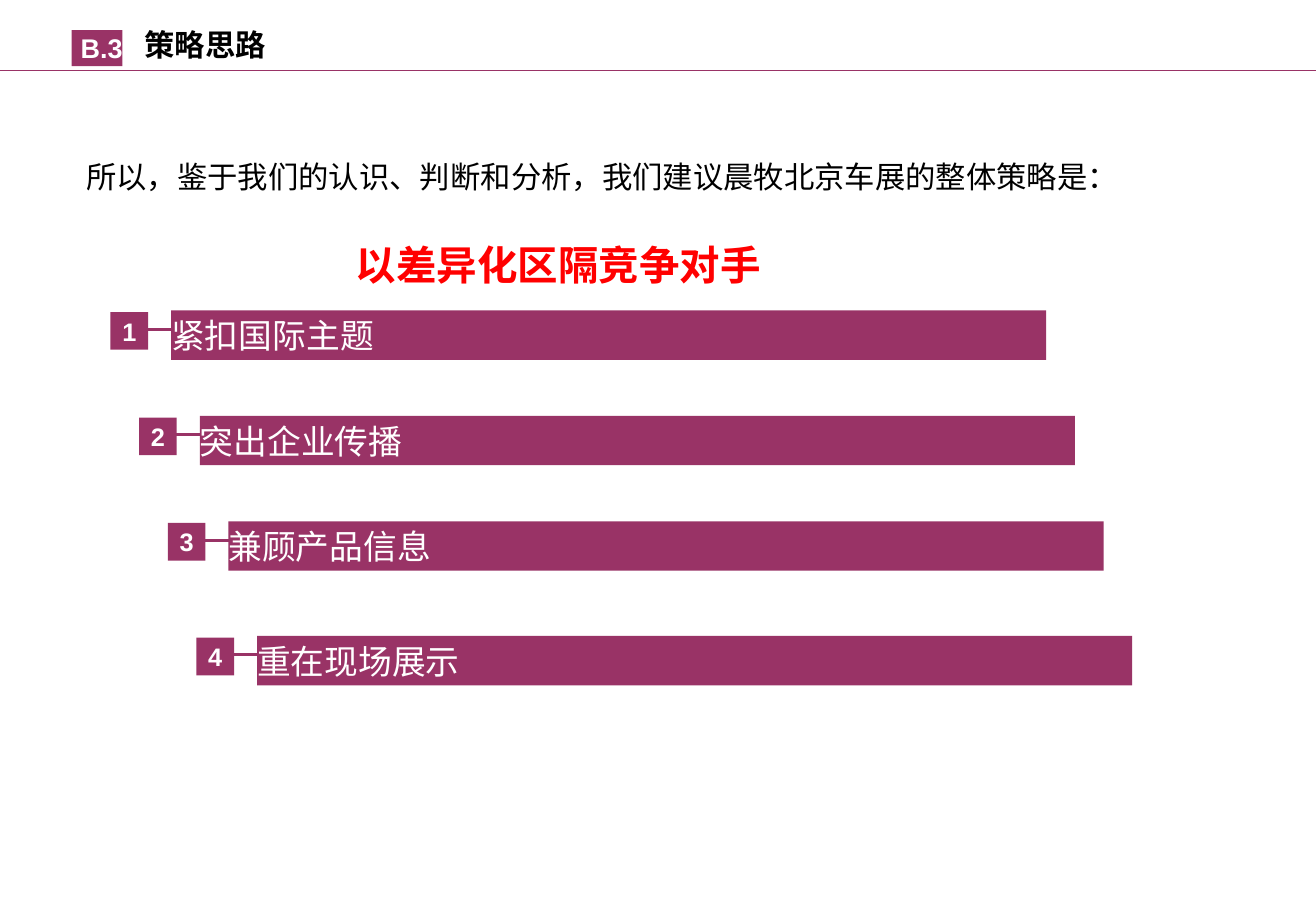
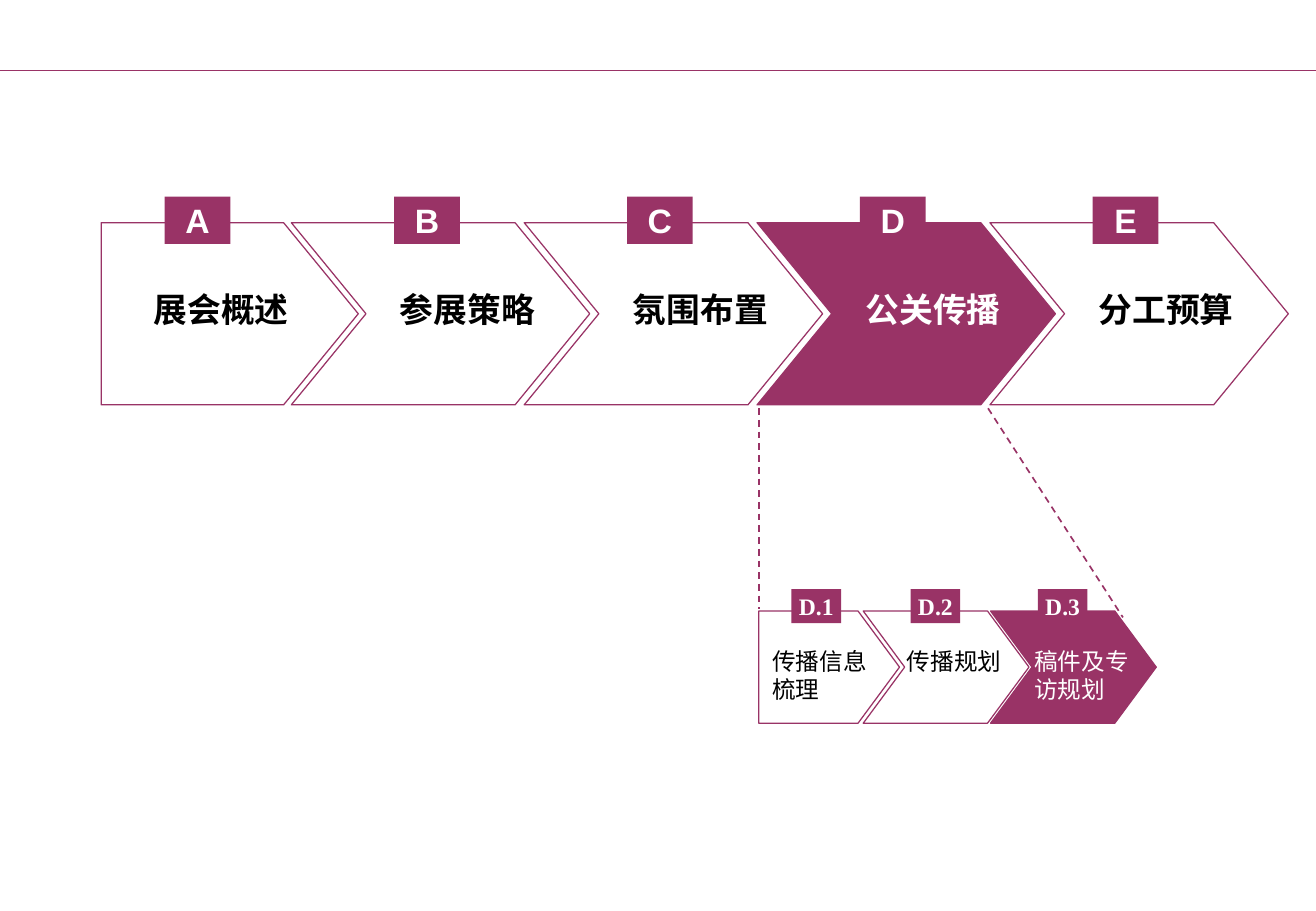
import pptx
import pptx.dml.color
import pptx.enum.dml
import pptx.enum.shapes
import pptx.enum.text
import pptx.oxml.ns
import pptx.util
from lxml import etree

Pt = pptx.util.Pt
ALIGN = pptx.enum.text.PP_ALIGN
ANCHOR = pptx.enum.text.MSO_ANCHOR
qn = pptx.oxml.ns.qn

COLORS = {"plum": "993366", "white": "FFFFFF", "black": "000000", "red": "FF0000"}
CJK = "Noto Sans CJK SC"
SERIF = "Times New Roman"
WIDTH, HEIGHT = 780.48, 540


def rgb(name):
    return pptx.dml.color.RGBColor.from_string(COLORS[name])


class Deck:
    def __init__(self):
        self.presentation = pptx.Presentation()
        self.presentation.slide_width = Pt(WIDTH)
        self.presentation.slide_height = Pt(HEIGHT)
        self.slide = None

    def start_slide(self, title=None):
        layout = self.presentation.slide_layouts[5 if title else 6]
        self.slide = self.presentation.slides.add_slide(layout)
        if title:
            shape = self.slide.shapes.title
            shape.left, shape.top, shape.width, shape.height = Pt(78.5), Pt(12), Pt(96.5), Pt(29)
            self.set_text(shape, title, 18, bold=True, insets=(7.2, 3.6))

    def add_master_rule(self, y):
        rule = self.line((0, y), (WIDTH, y), 0.75)
        rule.element.xpath(".//p:cNvPr")[0].set("id", "100")
        self.presentation.slide_master.shapes.element.append(rule.element)

    def set_text(self, shape, text, size, color="black", font=CJK, bold=False,
                 align=ALIGN.LEFT, anchor=ANCHOR.TOP, insets=(0, 0)):
        frame = shape.text_frame
        frame.text = text
        frame.word_wrap = True
        frame.auto_size = pptx.enum.text.MSO_AUTO_SIZE.NONE
        frame.vertical_anchor = anchor
        frame.margin_left = frame.margin_right = Pt(insets[0])
        frame.margin_top = frame.margin_bottom = Pt(insets[1])
        paragraph = frame.paragraphs[0]
        paragraph.alignment = align
        paragraph.font.size = Pt(size)
        paragraph.font.bold = bold
        paragraph.font.color.rgb = rgb(color)
        paragraph.font.name = font
        properties = paragraph._p.pPr.find(qn("a:defRPr"))
        etree.SubElement(properties, qn("a:ea")).set("typeface", CJK)

    def text(self, left, top, width, height, text, size, **style):
        shape = self.slide.shapes.add_textbox(Pt(left), Pt(top), Pt(width), Pt(height))
        self.set_text(shape, text, size, **style)

    def box(self, left, top, width, height, text, size, **style):
        shape = self.slide.shapes.add_shape(
            pptx.enum.shapes.MSO_SHAPE.RECTANGLE, Pt(left), Pt(top), Pt(width), Pt(height))
        self.paint(shape, "plum")
        shape.line.fill.background()
        self.set_text(shape, text, size, color="white", anchor=ANCHOR.MIDDLE, **style)

    def badge(self, left, top, width, height, text, size, font="Arial", align=ALIGN.CENTER):
        self.box(left, top, width, height, text, size, font=font, bold=True, align=align)

    def paint(self, shape, color):
        shape.shadow.inherit = False
        shape.fill.solid()
        shape.fill.fore_color.rgb = rgb(color)

    def line(self, start, end, weight, dashed=False):
        points = [Pt(value) for value in (*start, *end)]
        connector = self.slide.shapes.add_connector(
            pptx.enum.shapes.MSO_CONNECTOR.STRAIGHT, *points)
        connector.line.color.rgb = rgb("plum")
        connector.line.width = Pt(weight)
        if dashed:
            connector.line.dash_style = pptx.enum.dml.MSO_LINE.DASH
        etree.SubElement(connector.element.spPr, qn("a:effectLst"))
        return connector

    def arrow(self, left, top, width, height, tip, notched, color):
        right, middle, bottom = left + width, top + height / 2, top + height
        points = [(right - tip, top), (right, middle), (right - tip, bottom), (left, bottom)]
        if notched:
            points.append((left + tip, middle))
        builder = self.slide.shapes.build_freeform(Pt(left), Pt(top), scale=1.0)
        builder.add_line_segments([(Pt(x), Pt(y)) for x, y in points], close=True)
        shape = builder.convert_to_shape()
        self.paint(shape, color)
        shape.line.color.rgb = rgb("plum")
        shape.line.width = Pt(0.75)

    def process(self, steps, active, top, height, tip, widths, badge, label):
        for index, (left, code, name) in enumerate(steps):
            later = int(index > 0)
            chosen = code == active
            self.arrow(left, top, widths[later], height, tip, later,
                       "plum" if chosen else "white")
            self.badge(left + badge["offsets"][later], top - badge["rise"],
                       *badge["size"], code, badge["points"], font=badge["font"])
            self.text(left + label["offsets"][later], top + label["drop"],
                      *label["size"], name, **label["style"],
                      color="white" if chosen else "black")


def build_strategy(deck):
    deck.start_slide("策略思路")
    deck.add_master_rule(42)
    deck.badge(42.5, 17.8, 30.2, 21.4, "B.3", 16, align=ALIGN.RIGHT)
    deck.text(44, 90, 646.5, 29, "所以，鉴于我们的认识、判断和分析，我们建议晨牧北京车展的整体策略是：",
              18, insets=(7.2, 3.6))
    points = [(184, "紧扣国际主题"), (246.5, "突出企业传播"),
              (309, "兼顾产品信息"), (377, "重在现场展示")]
    for index, (top, point) in enumerate(points):
        left = 101.5 + 17 * index
        deck.line((left - 25, top + 11.2), (left + 516, top + 11.2), 1.75)
        deck.box(left, top, 519, 29.3, point, 20)
        deck.badge(left - 36, top + 1, 22.3, 22.3, str(index + 1), 15)
    deck.text(204, 138.5, 270, 36, "以差异化区隔竞争对手", 24,
              color="red", font="Arial", bold=True, insets=(7.2, 3.6))


def build_agenda(deck):
    deck.start_slide()
    names = ["展会概述", "参展策略", "氛围布置", "公关传播", "分工预算"]
    lefts = [60] + [172.8 + 138.1 * index for index in range(4)]
    deck.process(
        list(zip(lefts, "ABCDE", names)), "D", 132, 108, 44.3, (152.5, 177),
        badge={"offsets": (37.7, 61), "rise": 15.4, "size": (39, 28),
               "points": 20, "font": "Arial"},
        label={"offsets": (24, 57.3), "drop": 35.8, "size": (115, 31.5),
               "style": {"size": 20, "bold": True, "insets": (7.2, 3.6)}})
    deck.line((450, 242), (450, 361), 1, dashed=True)
    deck.line((586, 242), (666, 366), 1, dashed=True)
    deck.process(
        [(450, "D.1", "传播信息梳理"), (512, "D.2", "传播规划"), (587.5, "D.3", "稿件及专访规划")],
        "D.3", 362.2, 66.5, 24.6, (83.5, 98.3),
        badge={"offsets": (19.4, 28), "rise": 13, "size": (29.5, 20.2),
               "points": 14, "font": SERIF},
        label={"offsets": (8, 25.8), "drop": 21.3, "size": (65.5, 34),
               "style": {"size": 14, "font": SERIF}})


def main():
    deck = Deck()
    build_strategy(deck)
    build_agenda(deck)
    deck.presentation.save("out.pptx")


if __name__ == "__main__":
    main()
